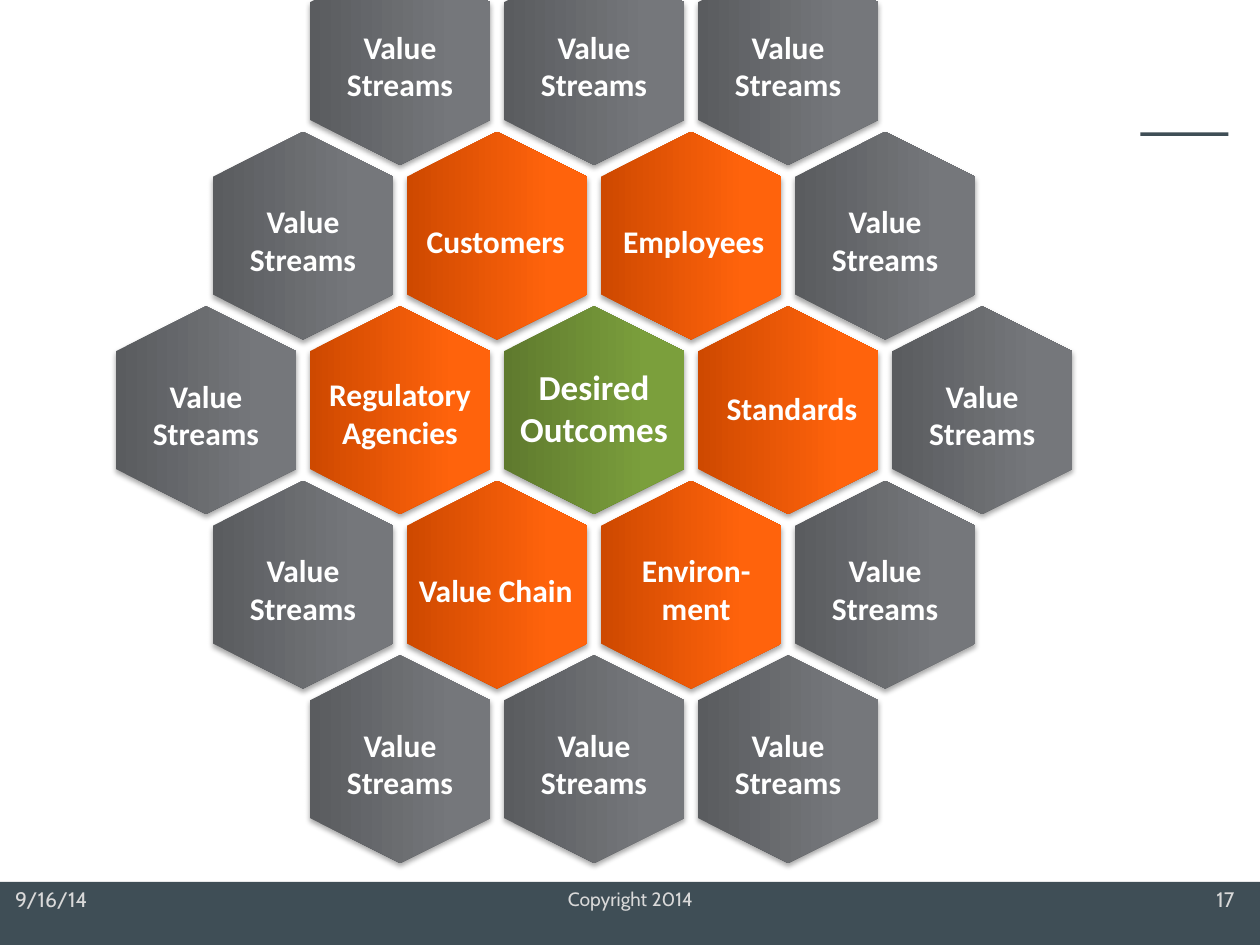
from pptx import Presentation
from pptx.dml.color import RGBColor
from pptx.enum.shapes import MSO_SHAPE
from pptx.enum.text import MSO_ANCHOR, PP_ALIGN
from pptx.oxml import parse_xml
from pptx.oxml.ns import nsdecls
from pptx.util import Inches, Pt

COLORS = {"slate": "3F4E56", "footer": "D9D9D9", "white": "FFFFFF", "shadow": "000000"}
GRADIENTS = {
    "orange": ("CE4900", "FF630C", "FF640E"),
    "green": ("5F7A2E", "7B9F3C", "7CA13B"),
    "gray": ("5A5C5F", "75777B", "75787C"),
}
STOPS = (0, 80000, 100000)
HEX_W, HEX_H = 1.65, 1.43
COL_STEP, ROW_STEP = 1.54, 1.385

STREAM = ("Value Streams", "gray", 0, 0.04)
ROWS = [
    [STREAM] * 3,
    [STREAM, ("Customers", "orange", -0.01, 0.04), ("Employees", "orange", 0.02, 0.04), STREAM],
    [STREAM, ("Regulatory Agencies", "orange", 0, 0.03), ("Desired Outcomes", "green", 0, -0.02),
     ("Standards", "orange", 0.03, -0.02), STREAM],
    [STREAM, ("Value Chain", "orange", -0.01, 0.04), ("Environ-ment", "orange", 0.04, 0.04), STREAM],
    [STREAM] * 3,
]


def add_text(s, box, text, size=18, font="Calibri", color="white", bold=False,
             align=PP_ALIGN.CENTER, anchor=MSO_ANCHOR.TOP, wrap=True, inset=True):
    sp = s.shapes.add_textbox(*map(Inches, box))
    tf = sp.text_frame
    tf.word_wrap = wrap
    tf.vertical_anchor = anchor
    if not inset:
        tf.margin_left = tf.margin_right = tf.margin_top = tf.margin_bottom = 0
    p = tf.paragraphs[0]
    p.alignment = align
    r = p.add_run()
    r.text = text
    r.font.size = Pt(size)
    r.font.name = font
    r.font.bold = bold
    r.font.color.rgb = RGBColor.from_string(COLORS[color])


def add_bar(s, box):
    sp = s.shapes.add_shape(MSO_SHAPE.RECTANGLE, *map(Inches, box))
    sp.shadow.inherit = False
    sp.fill.solid()
    sp.fill.fore_color.rgb = RGBColor.from_string(COLORS["slate"])
    sp.line.fill.background()


def add_footer(s, x, y, w, h):
    add_bar(s, (x, y, w, h))
    edge = dict(size=12, font="Cabin", color="footer", anchor=MSO_ANCHOR.MIDDLE,
                wrap=False, inset=False)
    add_text(s, (x + 0.12, y + 0.04, 0.75, 0.2), "9/16/14", align=PP_ALIGN.LEFT, **edge)
    add_text(s, (x + 2.42, y - 0.01, 5.17, 0.3), "Copyright 2014",
             size=11, font="Cabin", color="footer")
    add_text(s, (x + w - 0.38, y + 0.04, 0.21, 0.2), "17", **edge)


def style_hexagon(sp, tone):
    sp.line.fill.background()
    sp.fill.gradient()
    sp.fill.gradient_angle = 90
    stops = sp._element.spPr.find(".//{*}gsLst")
    for gs in list(stops):
        stops.remove(gs)
    for pos, color in zip(STOPS, GRADIENTS[tone]):
        stops.append(parse_xml(
            f'<a:gs {nsdecls("a")} pos="{pos}"><a:srgbClr val="{color}"/></a:gs>'))
    sp._element.spPr.append(parse_xml(
        f'<a:effectLst {nsdecls("a")}><a:outerShdw blurRad="{Pt(3.1)}" dist="{Pt(1.8)}" '
        f'dir="5400000" rotWithShape="0"><a:srgbClr val="{COLORS["shadow"]}">'
        '<a:alpha val="35000"/></a:srgbClr></a:outerShdw></a:effectLst>'))


def add_cell(s, cx, cy, text, tone, dx, dy):
    sp = s.shapes.add_shape(MSO_SHAPE.HEXAGON, Inches(cx - HEX_W / 2), Inches(cy - HEX_H / 2),
                            Inches(HEX_W), Inches(HEX_H))
    sp.rotation = 90
    sp.adjustments[0] = 0.25
    style_hexagon(sp, tone)
    size = 20 if tone == "green" else 18
    one_line = text in ("Customers", "Employees", "Standards", "Value Chain")
    h = 0.4 if one_line else 0.77 if tone == "green" else 0.71
    add_text(s, (cx + dx - 0.72, cy + dy - h / 2, 1.44, h), text, size=size, bold=True)


def add_honeycomb(s, x, y, w, h):
    cx, cy = x + w / 2, y + h / 2
    for i, row in enumerate(ROWS):
        for j, cell in enumerate(row):
            add_cell(s, cx + (j - (len(row) - 1) / 2) * COL_STEP,
                     cy + (i - (len(ROWS) - 1) / 2) * ROW_STEP, *cell)


def main():
    prs = Presentation()
    prs.slide_width, prs.slide_height = Inches(10), Inches(7.5)
    s = prs.slides.add_slide(prs.slide_layouts[6])
    add_footer(s, 0, 7, 10, 0.5)
    add_bar(s, (9.05, 1.05, 0.7, 0.03))
    add_honeycomb(s, 0.92, -0.34, 7.59, 7.19)
    prs.save("out.pptx")


if __name__ == "__main__":
    main()
